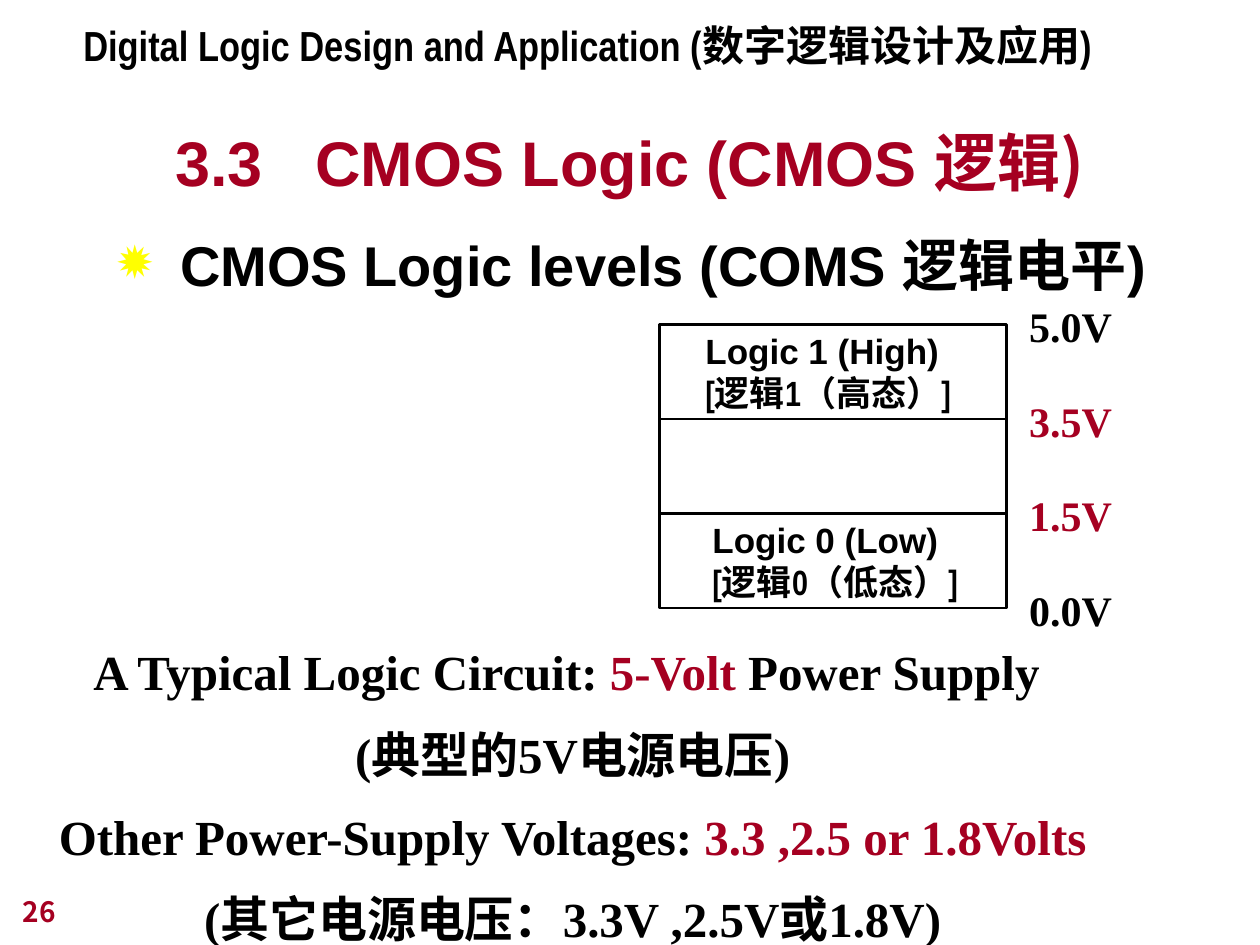
from lxml import etree
from pptx import Presentation
from pptx.dml.color import RGBColor
from pptx.enum.shapes import MSO_CONNECTOR, MSO_SHAPE
from pptx.enum.text import MSO_ANCHOR, MSO_AUTO_SIZE, PP_ALIGN
from pptx.oxml.ns import qn
from pptx.util import Pt

BLACK = RGBColor(0x00, 0x00, 0x00)
CRIMSON = RGBColor(0xA5, 0x00, 0x21)
YELLOW = RGBColor(0xFF, 0xFF, 0x00)
SANS, NARROW, SERIF, CJK = "Arial", "Arial Narrow", "Times New Roman", "Noto Sans CJK JP"
LEFT, CENTER = PP_ALIGN.LEFT, PP_ALIGN.CENTER
TOP, BOTTOM = MSO_ANCHOR.TOP, MSO_ANCHOR.BOTTOM
FIXED = MSO_AUTO_SIZE.NONE
RECTANGLE, STRAIGHT = MSO_SHAPE.RECTANGLE, MSO_CONNECTOR.STRAIGHT
LINE_WIDTH = 1.5


class SlideBuilder:
    """Holds the style and the current slide and adds each kind of element."""

    def __init__(self, slide):
        self.slide = slide

    def style(self, run, size, font, color):
        run.font.size = Pt(size)
        run.font.name = font
        run.font.bold = True
        run.font.color.rgb = color
        east_asian = etree.SubElement(run.font._element, qn("a:ea"))
        east_asian.set("typeface", CJK)

    def text(self, place, paragraphs, size, font, color=BLACK, align=LEFT,
             anchor=TOP, spacing=None):
        """Add a text box; each run is (text, overrides of font or color)."""
        box = self.slide.shapes.add_textbox(*map(Pt, place))
        frame = box.text_frame
        frame.word_wrap = True
        frame.auto_size = FIXED
        frame.vertical_anchor = anchor
        for index, runs in enumerate(paragraphs):
            paragraph = frame.add_paragraph() if index else frame.paragraphs[0]
            paragraph.alignment = align
            if spacing:
                paragraph.line_spacing = spacing
            for words, override in runs:
                run = paragraph.add_run()
                run.text = words
                self.style(run, size, override.get("font", font), override.get("color", color))
        return frame

    def bullet(self, paragraph, symbol, color, percent, indent):
        properties = paragraph._p.get_or_add_pPr()
        properties.set("marL", str(Pt(indent)))
        properties.set("indent", str(-Pt(indent)))
        bullet_color = etree.SubElement(properties, qn("a:buClr"))
        etree.SubElement(bullet_color, qn("a:srgbClr")).set("val", str(color))
        etree.SubElement(properties, qn("a:buSzPct")).set("val", str(percent * 1000))
        etree.SubElement(properties, qn("a:buChar")).set("char", symbol)

    def frame(self, place):
        shape = self.slide.shapes.add_shape(RECTANGLE, *map(Pt, place))
        shape.shadow.inherit = False
        shape.fill.background()
        shape.line.color.rgb = BLACK
        shape.line.width = Pt(LINE_WIDTH)

    def divider(self, left, right, y):
        line = self.slide.shapes.add_connector(STRAIGHT, Pt(left), Pt(y), Pt(right), Pt(y))
        line.line.color.rgb = BLACK
        line.line.width = Pt(LINE_WIDTH)
        etree.SubElement(line._element.spPr, qn("a:effectLst"))


def main():
    presentation = Presentation()
    presentation.slide_width, presentation.slide_height = Pt(720), Pt(540)
    builder = SlideBuilder(presentation.slides.add_slide(presentation.slide_layouts[6]))
    red = {"color": CRIMSON}

    builder.text((40.5, 7.6, 610, 36),
                 [[("Digital Logic Design and Application (数字逻辑设计及应用)", {})]], 24, NARROW)

    title = builder.text(
        (54, 57.6, 612, 59.8),
        [[("3.3", {}), (" ", {}), ("CMOS Logic (CMOS ", {}), ("逻辑)", {"font": CJK})]],
        36, SANS, CRIMSON, CENTER, BOTTOM)
    number_gap = title.paragraphs[0].runs[1]
    number_gap.font._element.set("spc", "2000")

    topic = builder.text((59.8, 128.2, 617.8, 56.9),
                         [[("CMOS Logic levels (COMS 逻辑电平)", {})]], 32, SANS)
    builder.bullet(topic.paragraphs[0], "✹", YELLOW, 107, 36)

    left, top, width, band = 377, 185.5, 198, 54
    builder.frame((left, top, width, 3 * band))
    for step in (1, 2):
        builder.divider(left, left + width, top + step * band)

    voltages = (("5.0V", BLACK), ("3.5V", CRIMSON), ("1.5V", CRIMSON), ("0.0V", BLACK))
    for step, (voltage, color) in enumerate(voltages):
        builder.text((581, top - 17.2 + step * band, 68, 36),
                     [[(voltage, {})]], 24, SERIF, color)

    builder.text(
        (8.6, 349.7, 637.2, 195.8),
        [[("A Typical Logic Circuit: ", {}), ("5-Volt", red), (" Power Supply ", {})],
         [("(典型的5V电源电压)", {})],
         [("Other Power-Supply Voltages: ", {}), ("3.3 ,2.5 or 1.8Volts", red)],
         [("(其它电源电压：3.3V ,2.5V或1.8V)", {})]],
        28, SERIF, align=CENTER, spacing=1.4)

    states = ((396, 185, "Logic 1 (High)", "[逻辑1（高态）]"),
              (400, 292.7, "Logic 0 (Low)", "[逻辑0（低态）]"))
    for x, y, english, chinese in states:
        builder.text((x, y, 184, 55.4),
                     [[(english, {})], [(chinese, {"font": NARROW})]], 20, SANS)

    builder.text((5.8, 498.2, 149.8, 36), [[("26", {})]], 16, CJK, CRIMSON, anchor=BOTTOM)
    presentation.save("out.pptx")


if __name__ == "__main__":
    main()
